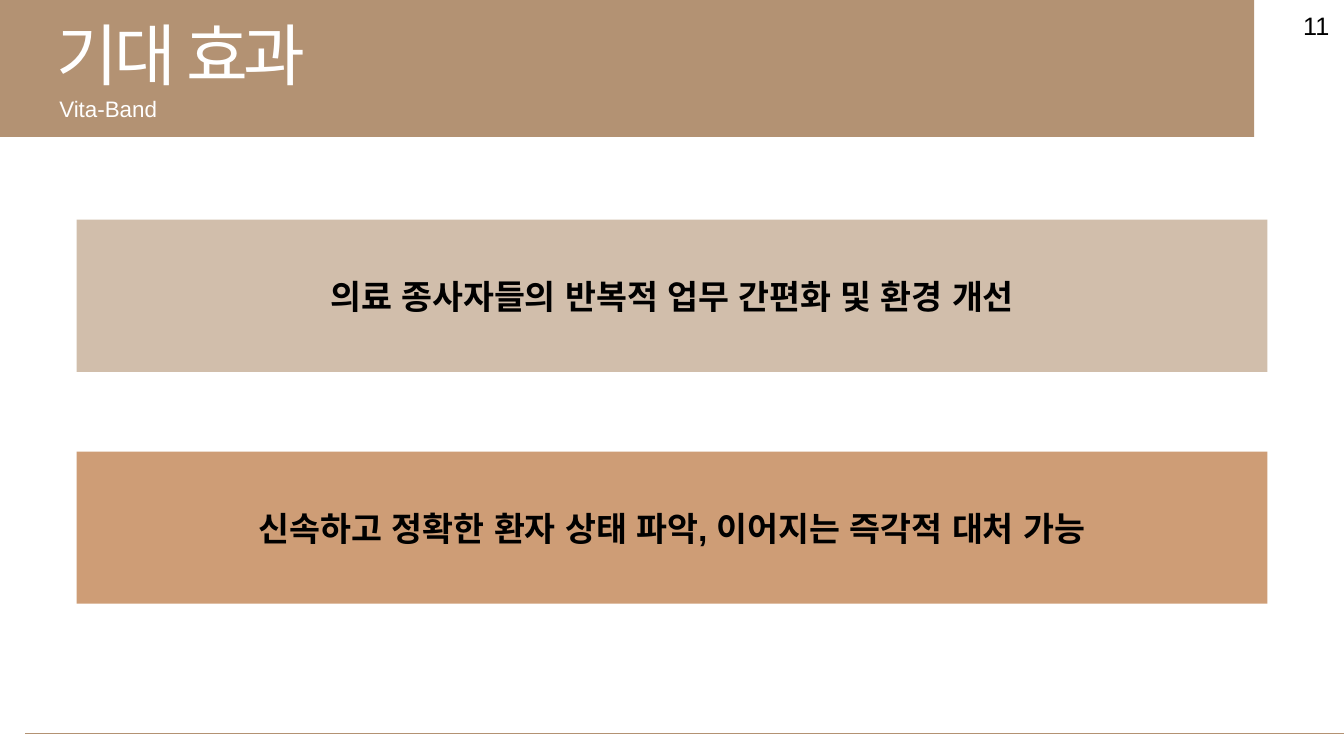
"""Builds the expected-effects slide: a header band, two statement bars and a footer rule."""
from pptx import Presentation
from pptx import util as u
from pptx.dml.color import RGBColor
from pptx.enum import shapes, text
from pptx.oxml.ns import qn
from lxml import etree

WIDTH, HEIGHT = 13.33, 7.5
FONT = "Arial"
BROWN, WHITE, BLACK = "B39273", "FFFFFF", "000000"

TITLE = "기대 효과"
SUBTITLE = "Vita-Band"
PAGE = "11"
EFFECTS = [
    ("의료 종사자들의 반복적 업무 간편화 및 환경 개선", "D1BEAB"),
    ("신속하고 정확한 환자 상태 파악, 이어지는 즉각적 대처 가능", "CE9D76"),
]

BAR_MARGIN, BAR_TOP, BAR_HEIGHT, BAR_PITCH = 0.76, 2.18, 1.51, 2.3
HEADER_WIDTH, HEADER_HEIGHT = 12.44, 1.36
RULE_LEFT, RULE_TOP = 0.25, 7.28


def rgb(colour):
    return RGBColor.from_string(colour)


def write(shape, words, size, colour, align, anchor, bold=False, wrap=True):
    frame = shape.text_frame
    frame.word_wrap = wrap
    frame.auto_size = text.MSO_AUTO_SIZE.NONE
    frame.vertical_anchor = anchor
    paragraph = frame.paragraphs[0]
    paragraph.alignment = align
    run = paragraph.add_run()
    run.text = words
    run.font.name, run.font.size, run.font.bold = FONT, u.Pt(size), bold
    run.font.color.rgb = rgb(colour)
    etree.SubElement(run.font._element, qn("a:ea"), typeface=FONT)
    return run


def add_band(slide, left, top, width, height, colour):
    band = slide.shapes.add_shape(
        shapes.MSO_SHAPE.RECTANGLE, *map(u.Inches, (left, top, width, height)))
    band.shadow.inherit = False
    band.fill.solid()
    band.fill.fore_color.rgb = rgb(colour)
    band.line.fill.background()
    return band


def add_label(slide, box, words, size, colour, align, wrap):
    label = slide.shapes.add_textbox(*map(u.Inches, box))
    write(label, words, size, colour, align, text.MSO_ANCHOR.TOP, wrap=wrap)


def main():
    prs = Presentation()
    prs.slide_width, prs.slide_height = u.Inches(WIDTH), u.Inches(HEIGHT)
    slide = prs.slides.add_slide(prs.slide_layouts[5])
    left, center = text.PP_ALIGN.LEFT, text.PP_ALIGN.CENTER

    for row, (effect, colour) in enumerate(EFFECTS):
        bar = add_band(slide, BAR_MARGIN, BAR_TOP + row * BAR_PITCH,
                       WIDTH - 2 * BAR_MARGIN, BAR_HEIGHT, colour)
        write(bar, effect, 24, BLACK, center, text.MSO_ANCHOR.MIDDLE, bold=True)

    header = add_band(slide, 0, 0, HEADER_WIDTH, HEADER_HEIGHT, BROWN)
    title = slide.shapes.title
    title.left, title.top, title.width, title.height = map(u.Inches, (0.46, 0.08, 2.87, 0.91))
    heading = write(title, TITLE, 48, WHITE, left, text.MSO_ANCHOR.TOP, wrap=False)
    heading.font._element.set("spc", "-300")
    header.element.addnext(title.element)

    add_label(slide, (0.49, 0.89, 1.3, 0.37), SUBTITLE, 16, WHITE, left, False)

    rule = slide.shapes.add_connector(
        shapes.MSO_CONNECTOR.STRAIGHT,
        *map(u.Inches, (RULE_LEFT, RULE_TOP, WIDTH, RULE_TOP)))
    rule.line.color.rgb = rgb(BROWN)
    rule.line.width = u.Pt(0.5)
    etree.SubElement(rule.element.spPr, qn("a:effectLst"))

    add_label(slide, (12.78, 0.05, 0.55, 0.4), PAGE, 18, BLACK, center, True)
    prs.save("out.pptx")


if __name__ == "__main__":
    main()
